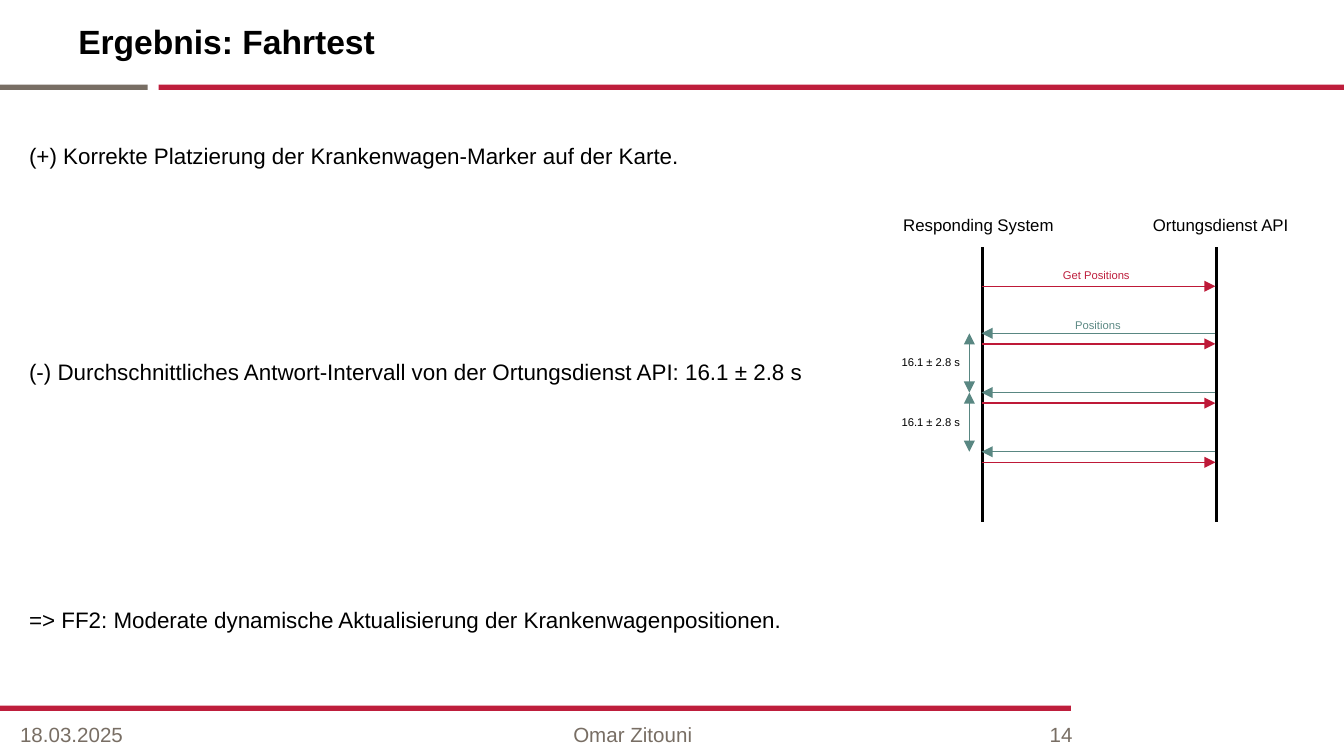
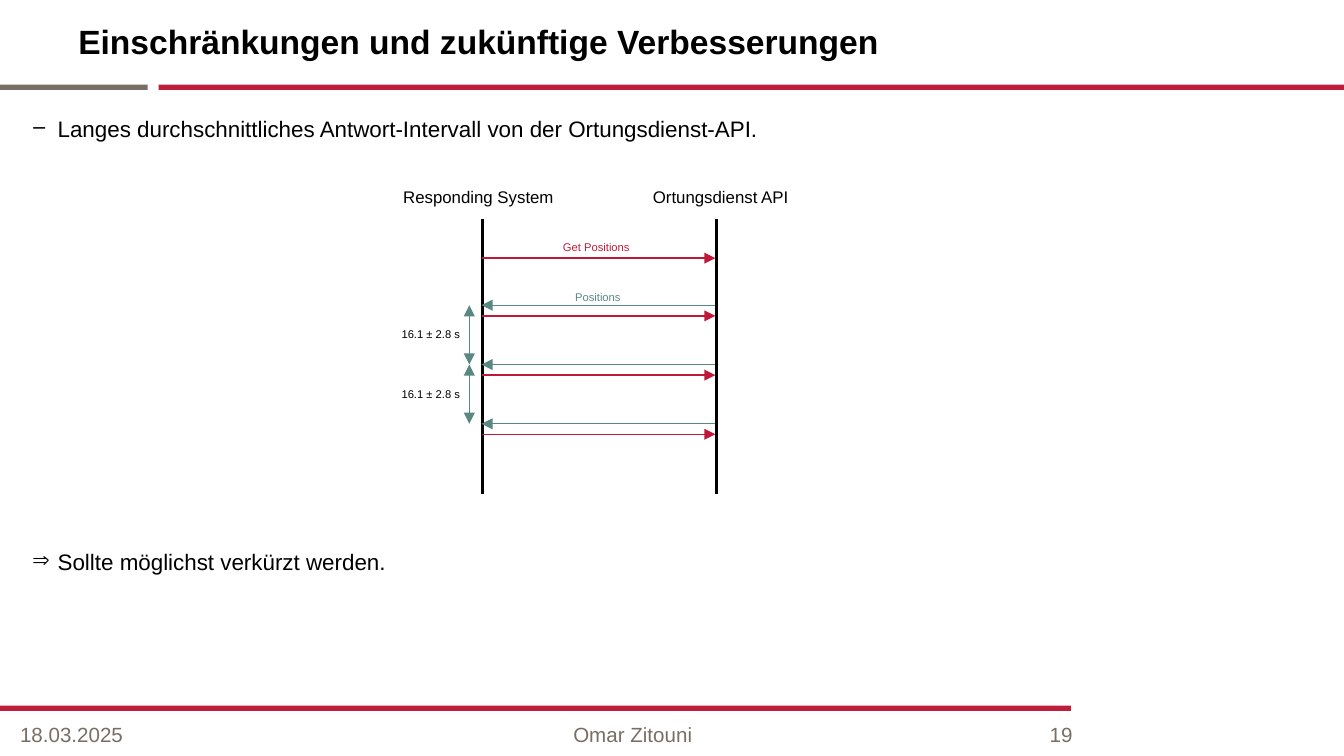
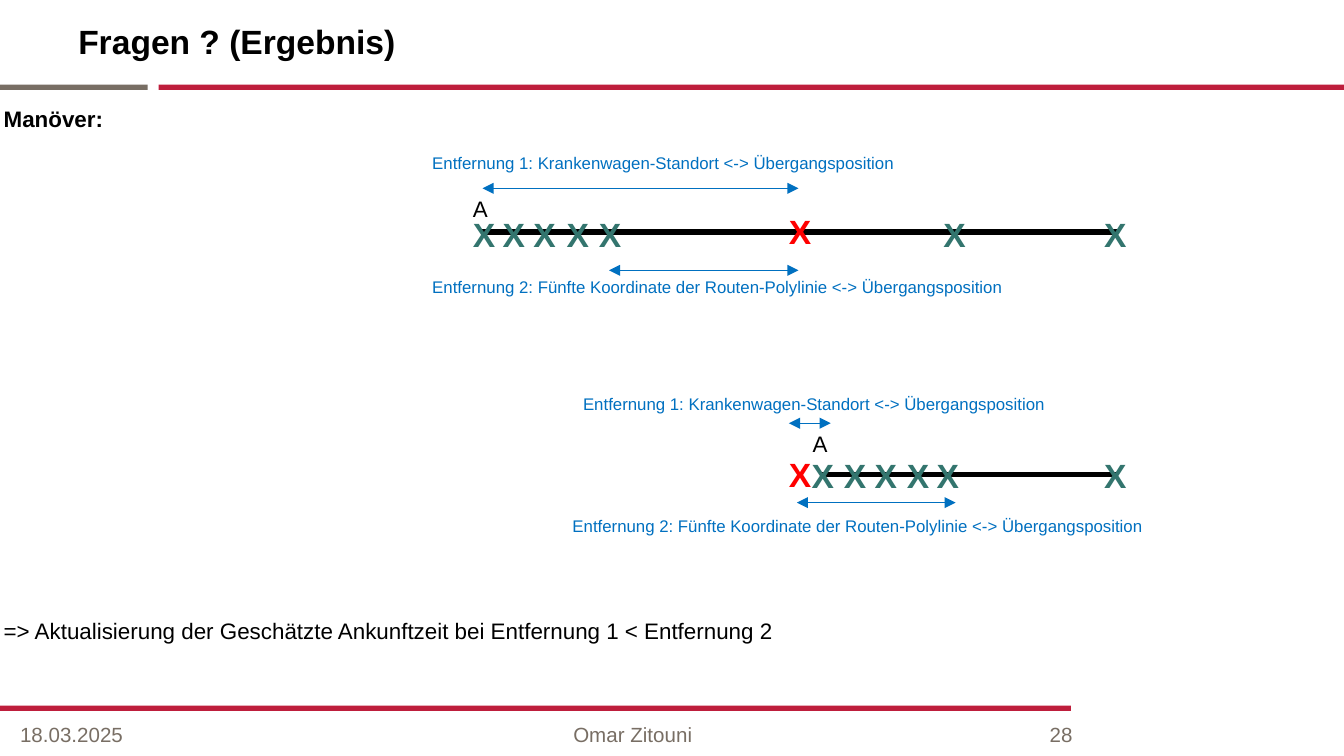
"""Build three slides on ambulance position updates: drive test, limitations and manoeuvres."""
from lxml import etree
from pptx import Presentation
from pptx.dml.color import RGBColor
from pptx.enum import shapes, text
from pptx.oxml.ns import qn
from pptx.util import Cm, Pt

RED = RGBColor(0xBE, 0x1E, 0x3C)
REQUEST = RGBColor(0xBE, 0x19, 0x38)
RESPONSE = RGBColor(0x59, 0x87, 0x82)
RESPONSE_TEXT = RGBColor(0x5C, 0x89, 0x84)
GREY = RGBColor(0x78, 0x6E, 0x64)
BLACK = RGBColor(0, 0, 0)
BLUE = RGBColor(0x00, 0x70, 0xC0)
MARK = RGBColor(0x33, 0x75, 0x6E)
HANDOVER = RGBColor(0xFF, 0, 0)
FONT = "Arial"

BANDS = [((3, 1.6, 22.4, 0.1), RED), ((0, 1.6, 2.79, 0.1), GREY), ((0, 13.34, 20.24, 0.1), RED)]
DATE, AUTHOR = "18.03.2025", "Omar Zitouni"
SLIM = (0.18, 0.1, 0.18, 0.1)
BODY_SIZE = (24.59, 10.36)

SLIDES = [
    dict(title="Ergebnis: Fahrtest", number="14", at=(0.3, 1.93), top_inset=0.75,
         body=["(+) Korrekte Platzierung der Krankenwagen-Marker auf der Karte.",
               "(-) Durchschnittliches Antwort-Intervall von der Ortungsdienst API: 16.1 ± 2.8 s",
               "=> FF2: Moderate dynamische Aktualisierung der Krankenwagenpositionen."],
         gaps=[0, 101.4, 118.5], sequence=(18.57, 4.67)),
    dict(title="Einschränkungen und zukünftige Verbesserungen", number="19", at=(0.36, 1.93),
         body=["Langes durchschnittliches Antwort-Intervall von der Ortungsdienst-API.",
               "Sollte möglichst verkürzt werden."],
         gaps=[0, 217.6], bullets="‒⇒", sequence=(9.12, 4.14)),
    dict(title="Fragen ? (Ergebnis)", number="28", at=(-0.18, 1.73),
         body=["Manöver:",
               "=> Aktualisierung der Geschätzte Ankunftzeit bei Entfernung 1 < Entfernung 2"],
         gaps=[0, 260], bold=(True, False)),
]

ACTORS = [("Responding System", -1.75), ("Ortungsdienst API", 2.97)]
INTERVAL = "16.1 ± 2.8 s"
LIFELINE_GAP, LIFELINE_LENGTH = 4.42, 5.2
FIRST_REQUEST, FIRST_RESPONSE, PERIOD, REPLY_DELAY, ROUNDS = 0.74, 1.63, 1.12, 0.2, 3

DISTANCE_1 = "Entfernung 1: Krankenwagen-Standort <-> Übergangsposition"
DISTANCE_2 = "Entfernung 2: Fünfte Koordinate der Routen-Polylinie <-> Übergangsposition"
ROUTES = [
    dict(road=(9.09, 4.39), ambulance=(8.69, 3.56), handover=3.86, marks_top=3.91,
         marks=[8.69, 9.25, 9.83, 10.46, 11.07, 17.58, 20.62],
         distances=[(DISTANCE_1, 9.12, 15.09, 3.56, (7.92, 2.77, 9.32)),
                    (DISTANCE_2, 11.51, 15.09, 5.11, (7.92, 5.11, 11.35))]),
    dict(road=(15.49, 8.97), ambulance=(15.11, 8), handover=8.46, marks_top=8.47,
         marks=[15.09, 15.7, 16.28, 16.89, 17.45, 20.62],
         distances=[(DISTANCE_1, 14.91, 15.7, 8, (10.77, 7.32, 9.32)),
                    (DISTANCE_2, 15.06, 18.06, 9.5, (10.57, 9.63, 11.35))]),
]
ROAD_END, HANDOVER_LEFT = 21.11, 14.66


def add_bullet(p, char):
    pPr = p._p.get_or_add_pPr()
    pPr.set("marL", str(Cm(0.48)))
    pPr.set("indent", str(-Cm(0.48)))
    clr = etree.SubElement(pPr, qn("a:buClr"))
    etree.SubElement(clr, qn("a:srgbClr"), val=str(BLACK))
    etree.SubElement(pPr, qn("a:buChar"), char=char)


def add_text(s, box, lines, size=12, color=BLACK, bold=(), align=None, inset=None,
             middle=False, wrap=True, grow=False, gaps=(), bullets=""):
    lines = [lines] if isinstance(lines, str) else lines
    tf = s.shapes.add_textbox(*map(Cm, box)).text_frame
    tf.word_wrap = wrap
    tf.auto_size = text.MSO_AUTO_SIZE.SHAPE_TO_FIT_TEXT if grow else text.MSO_AUTO_SIZE.NONE
    if middle:
        tf.vertical_anchor = text.MSO_ANCHOR.MIDDLE
    if inset:
        tf.margin_left, tf.margin_top, tf.margin_right, tf.margin_bottom = map(Cm, inset)
    for i, line in enumerate(lines):
        p = tf.add_paragraph() if i else tf.paragraphs[0]
        if bullets:
            add_bullet(p, bullets[i])
        if gaps:
            p.space_before = Pt(gaps[i])
        p.alignment = align
        r = p.add_run()
        r.text = line
        r.font.name, r.font.size = FONT, Pt(size)
        r.font.bold = bold[i] if bold else False
        r.font.color.rgb = color


def add_line(s, x1, y1, x2, y2, color, width=0.75, ends=()):
    c = s.shapes.add_connector(shapes.MSO_CONNECTOR.STRAIGHT, *map(Cm, (x1, y1, x2, y2)))
    c.line.color.rgb, c.line.width = color, Pt(width)
    for end in ends:
        etree.SubElement(c.line._get_or_add_ln(), qn(f"a:{end}"), type="triangle")
    etree.SubElement(c._element.spPr, qn("a:effectLst"))


def add_frame(s, title, number):
    for box, color in BANDS:
        sp = s.shapes.add_shape(shapes.MSO_SHAPE.RECTANGLE, *map(Cm, box))
        sp.shadow.inherit = False
        sp.fill.solid()
        sp.fill.fore_color.rgb = color
        sp.line.fill.background()
    add_text(s, (1.3, 0.3, 23.67, 0.91), title, size=18, bold=[True], inset=SLIM)
    for line, left, width, align in [(DATE, 0.2, 5.51, text.PP_ALIGN.LEFT),
                                     (AUTHOR, 5.46, 13, text.PP_ALIGN.CENTER),
                                     (number, 18.44, 2.01, text.PP_ALIGN.RIGHT)]:
        add_text(s, (left, 13.51, width, 0.76), line, size=11, color=GREY, align=align,
                 inset=SLIM, middle=True)


def add_sequence(s, x, y):
    for actor, dx in ACTORS:
        add_text(s, (x + dx, y - 0.73, 3.43, 0.64), actor, size=9, grow=True)
    for lifeline in (x, x + LIFELINE_GAP):
        add_line(s, lifeline, y, lifeline, y + LIFELINE_LENGTH, BLACK, 1.5)

    left, right = x - 0.02, x + LIFELINE_GAP - 0.02
    responses = [y + FIRST_RESPONSE + i * PERIOD for i in range(ROUNDS)]
    for top in [y + FIRST_REQUEST] + [t + REPLY_DELAY for t in responses]:
        add_line(s, left, top, right, top, REQUEST, ends=["tailEnd"])
    for top in responses:
        add_line(s, right, top, left, top, RESPONSE, ends=["tailEnd"])
    for top, bottom in zip(responses, responses[1:]):
        add_line(s, x - 0.25, top, x - 0.25, bottom, RESPONSE, ends=["headEnd", "tailEnd"])
        add_text(s, (x - 1.78, top + 0.3, 1.8, 0.51), INTERVAL, size=6, grow=True)
    add_text(s, (x + 1.27, y + 0.28, 1.88, 0.51), "Get Positions", size=6, color=RED, grow=True)
    add_text(s, (x + 1.5, y + 1.22, 1.4, 0.51), "Positions", size=6, color=RESPONSE_TEXT, grow=True)


def add_route(s, road, ambulance, handover, marks_top, marks, distances):
    start, top = road
    add_line(s, start, top, ROAD_END, top, BLACK, 3)
    add_text(s, (*ambulance, 0.79, 0.76), "A", wrap=False, grow=True)
    crosses = [(HANDOVER_LEFT, handover, HANDOVER)] + [(m, marks_top, MARK) for m in marks]
    for left, cross_top, color in crosses:
        add_text(s, (left, cross_top, 0.84, 1.02), "X", size=18, color=color, bold=[True], grow=True)
    for label, x1, x2, y, place in distances:
        add_line(s, x1, y, x2, y, BLUE, ends=["headEnd", "tailEnd"])
        add_text(s, (*place, 0.64), label, size=9, color=BLUE, wrap=False, grow=True)


def main():
    prs = Presentation()
    prs.slide_width, prs.slide_height = Cm(25.4), Cm(14.29)
    for d in SLIDES:
        s = prs.slides.add_slide(prs.slide_layouts[6])
        add_frame(s, d["title"], d["number"])
        add_text(s, d["at"] + BODY_SIZE, d["body"], gaps=d["gaps"], bold=d.get("bold", ()),
                 bullets=d.get("bullets", ""), inset=(0.25, d.get("top_inset", 0.25), 0.25, 0.25))
        if "sequence" in d:
            add_sequence(s, *d["sequence"])
        else:
            for route in ROUTES:
                add_route(s, **route)
    prs.save("out.pptx")


if __name__ == "__main__":
    main()
